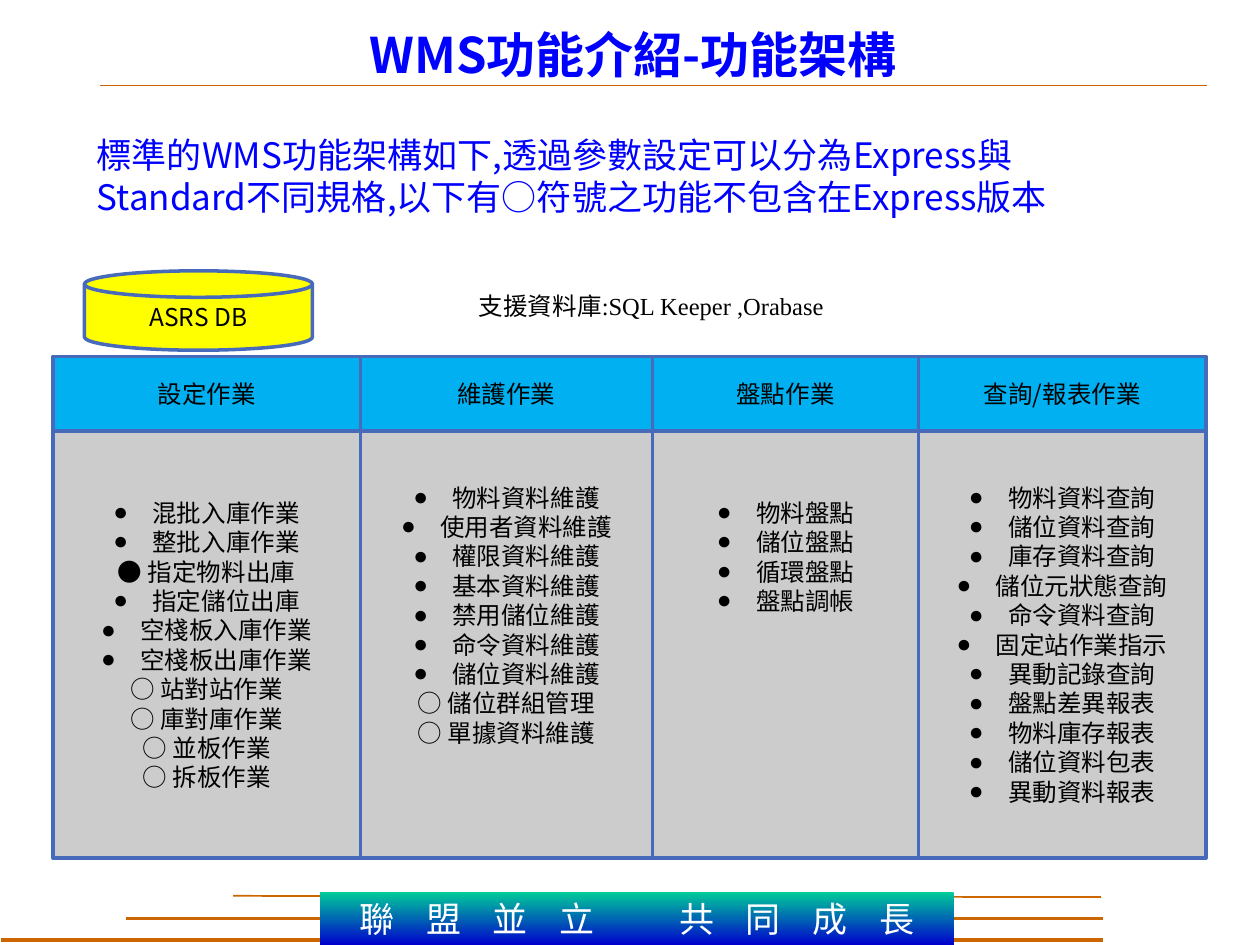
from lxml import etree
from pptx import Presentation
from pptx.dml.color import RGBColor
from pptx.enum.shapes import MSO_CONNECTOR as Connector, MSO_SHAPE as Shape
from pptx.enum.text import MSO_ANCHOR as Anchor, PP_ALIGN as Align
from pptx.oxml.ns import qn
from pptx.util import Inches, Pt

SC = "Noto Sans CJK SC"
TC = "Noto Sans CJK TC"
SERIF = "Times New Roman"
BLUE, EDGE, ORANGE = "0000FF", "486ABB", "CC6600"

TITLE = "WMS功能介紹-功能架構"
INTRO = "標準的WMS功能架構如下,透過參數設定可以分為Express與Standard不同規格,以下有○符號之功能不包含在Express版本"
DATABASES = "支援資料庫:SQL Keeper ,Orabase"
SLOGAN = [("聯盟並立", 18), (" ", 26), ("共同成", 18), ("長", 0)]
RULES = [
    (0.79, 0.68, 9.58, 0.68, 0.75),
    (1, 7.29, 8.75, 7.29, 1.75),
    (1.85, 7.11, 8.74, 7.12, 1),
    (0.01, 7.46, 8.75, 7.46, 2.5),
]
COLUMNS = [
    ("設定作業", SC, 0.53, [
        "混批入庫作業", "整批入庫作業", "● 指定物料出庫", "指定儲位出庫",
        "空棧板入庫作業", "空棧板出庫作業", "○ 站對站作業", "○ 庫對庫作業",
        "○ 並板作業", "○ 拆板作業"]),
    ("維護作業", TC, 0.41, [
        "物料資料維護", "使用者資料維護", "權限資料維護", "基本資料維護",
        "禁用儲位維護", "命令資料維護", "儲位資料維護", "○ 儲位群組管理",
        "○ 單據資料維護"]),
    ("盤點作業", SC, 0.53, ["物料盤點", "儲位盤點", "循環盤點", "盤點調帳"]),
    ("查詢/報表作業", SC, 0.41, [
        "物料資料查詢", "儲位資料查詢", "庫存資料查詢", "儲位元狀態查詢",
        "命令資料查詢", "固定站作業指示", "異動記錄查詢", "盤點差異報表",
        "物料庫存報表", "儲位資料包表", "異動資料報表"]),
]
COLUMN_EDGES = [0.42, 2.86, 5.18, 7.29, 9.57]
HEAD_TOP, BODY_TOP, BODY_BOTTOM = 2.83, 3.42, 6.81


def color(value):
    return RGBColor.from_string(value)


def add_span(para, text, font=TC, east=None, size=14, ink="000000", bold=False, spacing=0):
    span = para.add_run()
    span.text = text
    span.font.name = font
    span.font.size = Pt(size)
    span.font.bold = bold
    span.font.color.rgb = color(ink)
    properties = span.font._element
    if spacing:
        properties.set("spc", str(spacing * 100))
    etree.SubElement(properties, qn("a:ea")).set("typeface", east or font)


def write(box, text, align=Align.CENTER, anchor=Anchor.MIDDLE, **style):
    frame = box.text_frame
    frame.word_wrap = True
    frame.vertical_anchor = anchor
    para = frame.paragraphs[0]
    para.alignment = align
    add_span(para, text, **style)


def add_text(page, text, left, top, width, height, **style):
    box = page.shapes.add_textbox(*map(Inches, (left, top, width, height)))
    write(box, text, **style)


def add_box(page, kind, left, top, width, height, fill=None):
    box = page.shapes.add_shape(kind, *map(Inches, (left, top, width, height)))
    box.shadow.inherit = False
    if fill:
        box.fill.solid()
        box.fill.fore_color.rgb = color(fill)
        box.line.color.rgb = color(EDGE)
        box.line.width = Pt(2)
    return box


def add_rule(page, x1, y1, x2, y2, weight):
    rule = page.shapes.add_connector(Connector.STRAIGHT, *map(Inches, (x1, y1, x2, y2)))
    rule.line.color.rgb = color(ORANGE)
    rule.line.width = Pt(weight)
    etree.SubElement(rule._element.spPr, qn("a:effectLst"))


def add_bullet(para):
    properties = para._p.get_or_add_pPr()
    properties.set("marL", str(Inches(0.31)))
    properties.set("indent", str(-Inches(0.31)))
    etree.SubElement(properties, qn("a:buFont")).set("typeface", SERIF)
    etree.SubElement(properties, qn("a:buChar")).set("char", "●")


def write_items(box, items, font, inset):
    frame = box.text_frame
    frame.word_wrap = True
    frame.vertical_anchor = Anchor.TOP
    frame.margin_top = Inches(inset)
    for index, item in enumerate(items):
        para = frame.add_paragraph() if index else frame.paragraphs[0]
        para.alignment = Align.CENTER
        if item[0] in "●○":
            add_span(para, item[:2])
            add_span(para, item[2:], font=font)
        else:
            add_bullet(para)
            add_span(para, item, font=font)


def add_slogan(page):
    banner = add_box(page, Shape.RECTANGLE, 2.54, 7.08, 5.03, 0.42)
    banner.line.fill.background()
    banner.fill.gradient()
    banner.fill.gradient_angle = 270
    for stop, shade in zip(banner.fill.gradient_stops, ("00CC99", "0000CC")):
        stop.color.rgb = color(shade)
    frame = banner.text_frame
    frame.word_wrap = False
    frame.vertical_anchor = Anchor.MIDDLE
    para = frame.paragraphs[0]
    para.alignment = Align.CENTER
    for text, spacing in SLOGAN:
        add_span(para, text, font=SERIF, east=TC, size=20, ink="FFFFFF", spacing=spacing)


def main():
    deck = Presentation()
    deck.slide_width, deck.slide_height = Inches(10), Inches(7.5)
    page = deck.slides.add_slide(deck.slide_layouts[6])
    for rule in RULES:
        add_rule(page, *rule)
    add_slogan(page)
    add_text(page, TITLE, 2.59, 0.17, 4.87, 0.51, font=SC, size=28, ink=BLUE, bold=True)
    add_text(page, INTRO, 0.67, 1.01, 8.35, 0.77, align=Align.LEFT, anchor=Anchor.TOP,
             font=SC, size=20, ink=BLUE)
    for left, right, (heading, font, inset, items) in zip(COLUMN_EDGES, COLUMN_EDGES[1:], COLUMNS):
        width = right - left
        head = add_box(page, Shape.FLOWCHART_PROCESS, left, HEAD_TOP, width,
                       BODY_TOP - HEAD_TOP, "00B0F0")
        write(head, heading)
        body = add_box(page, Shape.FLOWCHART_PROCESS, left, BODY_TOP, width,
                       BODY_BOTTOM - BODY_TOP, "CCCCCC")
        write_items(body, items, font, inset)
    disk = add_box(page, Shape.FLOWCHART_MAGNETIC_DISK, 0.67, 2.15, 1.81, 0.63, "FFFF00")
    write(disk, "ASRS DB")
    add_text(page, DATABASES, 2.86, 2.26, 4.62, 0.34, font=SERIF, east=TC)
    deck.save("out.pptx")


if __name__ == "__main__":
    main()
